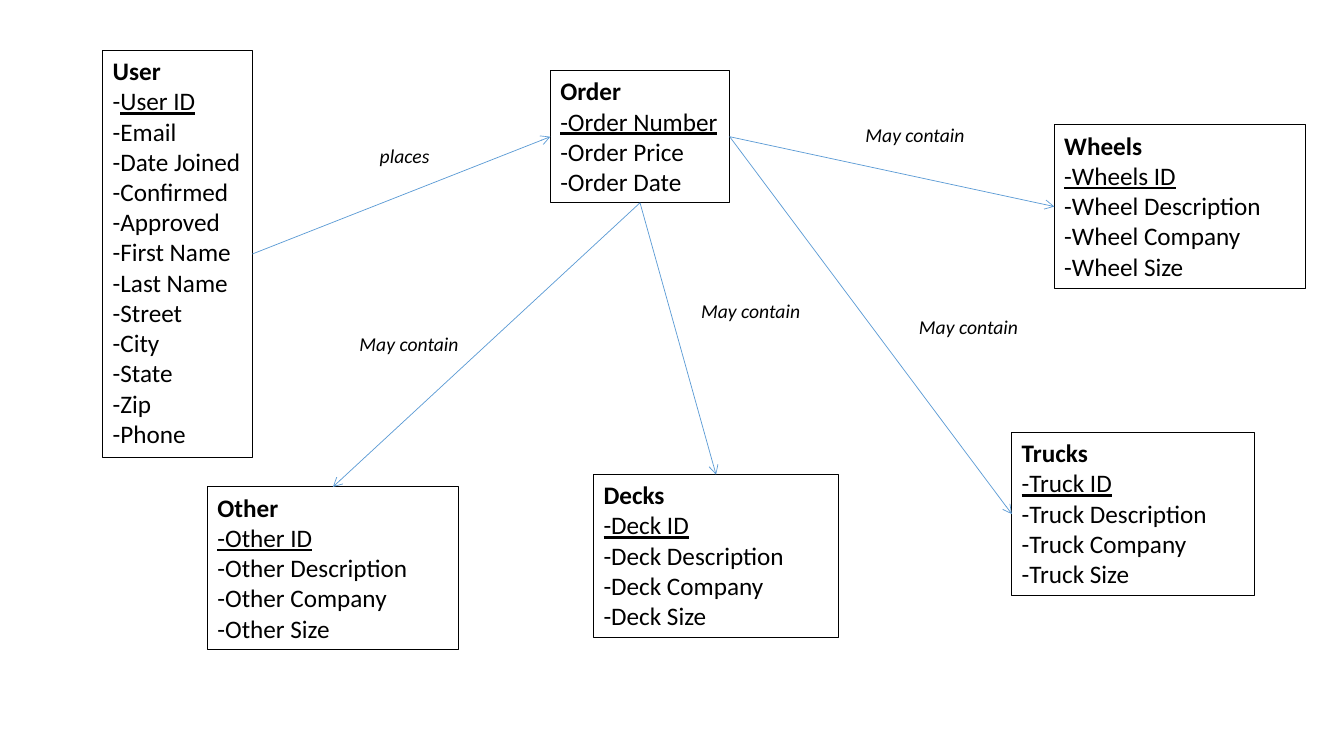
"""Draw the entity diagram of a skateboard shop's orders."""
from dataclasses import dataclass

import pptx
import pptx.dml.color
import pptx.enum.shapes
import pptx.enum.text
import pptx.oxml
import pptx.oxml.ns
import pptx.shapes.autoshape
import pptx.slide
import pptx.text.text
import pptx.util
from pptx.util import Cm


@dataclass(frozen=True)
class Theme:
    """Hold the colours, font and sizes."""
    ink: str = "000000"
    link: str = "5B9BD5"
    font: str = "Calibri"
    body: float = 18
    note: float = 14
    frame: float = 0.75
    thin: float = 0.5


@dataclass(frozen=True)
class Box:
    """Describe a rectangle in centimetres."""
    left: float
    top: float
    width: float
    height: float


@dataclass(frozen=True)
class Entity:
    """Describe an entity with its key and fields."""
    name: str
    box: Box
    key: str
    fields: tuple[str, ...]
    lead: bool = True
    wrap: bool = True


@dataclass(frozen=True)
class Label:
    """Describe the wording beside an arrow."""
    text: str
    box: Box


@dataclass(frozen=True)
class Link:
    """Describe an arrow between sides of two entities."""
    start: str
    out: int
    end: str
    into: int


THEME = Theme()
TOP, LEFT, BASE, RIGHT = range(4)


def part(name: str, word: str, key: str, left: float, top: float, width: float) -> Entity:
    """Make an entity for something an order may contain."""
    fields = tuple(f"{word} {field}" for field in ("Description", "Company", "Size"))
    return Entity(name, Box(left, top, width, 4.11), key, fields)


def contain(left: float, top: float) -> Label:
    """Make a label for a containment arrow."""
    return Label("May contain", Box(left, top, 3.05, 0.86))


ENTITIES = (
    Entity("User", Box(2.59, 1.27, 3.77, 10.26), "User ID",
           ("Email", "Date Joined", "Confirmed", "Approved", "First Name", "Last Name",
            "Street", "City", "State", "Zip", "Phone"), lead=False, wrap=False),
    Entity("Order", Box(13.87, 1.78, 4.52, 3.33), "Order Number",
           ("Order Price", "Order Date"), wrap=False),
    part("Decks", "Deck", "Deck ID", 14.96, 11.96, 6.17),
    part("Trucks", "Truck", "Truck ID", 25.5, 10.9, 6.12),
    part("Wheels", "Wheel", "Wheels ID", 26.57, 3.15, 6.32),
    part("Other", "Other", "Other ID", 5.23, 12.27, 6.32),
)
LINKS = (
    Link("User", RIGHT, "Order", LEFT),
    Link("Order", RIGHT, "Wheels", LEFT),
    Link("Order", RIGHT, "Trucks", LEFT),
    Link("Order", BASE, "Decks", TOP),
    Link("Order", BASE, "Other", TOP),
)
LABELS = (
    Label("places", Box(9.32, 3.51, 1.78, 0.86)),
    contain(8.81, 8.23),
    contain(17.42, 7.42),
    contain(22.91, 7.8),
    contain(21.56, 2.97),
)


def tint(code: str) -> pptx.dml.color.RGBColor:
    """Turn a hex code into a colour."""
    return pptx.dml.color.RGBColor.from_string(code)


def add_run(para: pptx.text.text._Paragraph, text: str, size: float, bold: bool = False,
            slant: bool = False, under: bool = False) -> None:
    """Add one styled run to a paragraph."""
    run = para.add_run()
    run.text = text
    font = run.font
    font.name, font.size = THEME.font, pptx.util.Pt(size)
    font.bold, font.italic, font.underline = bold, slant, under
    font.color.rgb = tint(THEME.ink)


def add_box(slide: pptx.slide.Slide, box: Box, wrap: bool) -> pptx.shapes.autoshape.Shape:
    """Add an empty text box that grows with its text."""
    shape = slide.shapes.add_textbox(Cm(box.left), Cm(box.top), Cm(box.width), Cm(box.height))
    shape.text_frame.word_wrap = wrap
    shape.text_frame.auto_size = pptx.enum.text.MSO_AUTO_SIZE.SHAPE_TO_FIT_TEXT
    return shape


def draw_entity(slide: pptx.slide.Slide, item: Entity) -> pptx.shapes.autoshape.Shape:
    """Draw a framed entity with its key underlined."""
    shape = add_box(slide, item.box, item.wrap)
    shape.line.color.rgb = tint(THEME.ink)
    shape.line.width = pptx.util.Pt(THEME.frame)
    frame = shape.text_frame
    add_run(frame.paragraphs[0], item.name, THEME.body, bold=True)
    para = frame.add_paragraph()
    add_run(para, "-", THEME.body, under=item.lead)
    add_run(para, item.key, THEME.body, under=True)
    for field in item.fields:
        add_run(frame.add_paragraph(), f"-{field}", THEME.body)
    return shape


def draw_link(slide: pptx.slide.Slide, link: Link,
              shapes: dict[str, pptx.shapes.autoshape.Shape]) -> None:
    """Draw an arrow glued to two entities."""
    kind = pptx.enum.shapes.MSO_CONNECTOR.STRAIGHT
    line = slide.shapes.add_connector(kind, 0, 0, 0, 0)
    line.begin_connect(shapes[link.start], link.out)
    line.end_connect(shapes[link.end], link.into)
    line.line.color.rgb = tint(THEME.link)
    line.line.width = pptx.util.Pt(THEME.thin)
    tail = pptx.oxml.parse_xml(f'<a:tailEnd {pptx.oxml.ns.nsdecls("a")} type="arrow"/>')
    line.line._get_or_add_ln().append(tail)
    flat = pptx.oxml.parse_xml(f'<a:effectLst {pptx.oxml.ns.nsdecls("a")}/>')
    line._element.spPr.append(flat)


def draw_label(slide: pptx.slide.Slide, label: Label) -> None:
    """Draw an italic label."""
    shape = add_box(slide, label.box, False)
    add_run(shape.text_frame.paragraphs[0], label.text, THEME.note, slant=True)


def main() -> None:
    """Build and save the slide."""
    deck = pptx.Presentation()
    deck.slide_width, deck.slide_height = Cm(33.87), Cm(19.05)
    slide = deck.slides.add_slide(deck.slide_layouts[6])
    shapes = {item.name: draw_entity(slide, item) for item in ENTITIES}
    for link in LINKS:
        draw_link(slide, link, shapes)
    for label in LABELS:
        draw_label(slide, label)
    deck.save("out.pptx")


if __name__ == "__main__":
    main()
